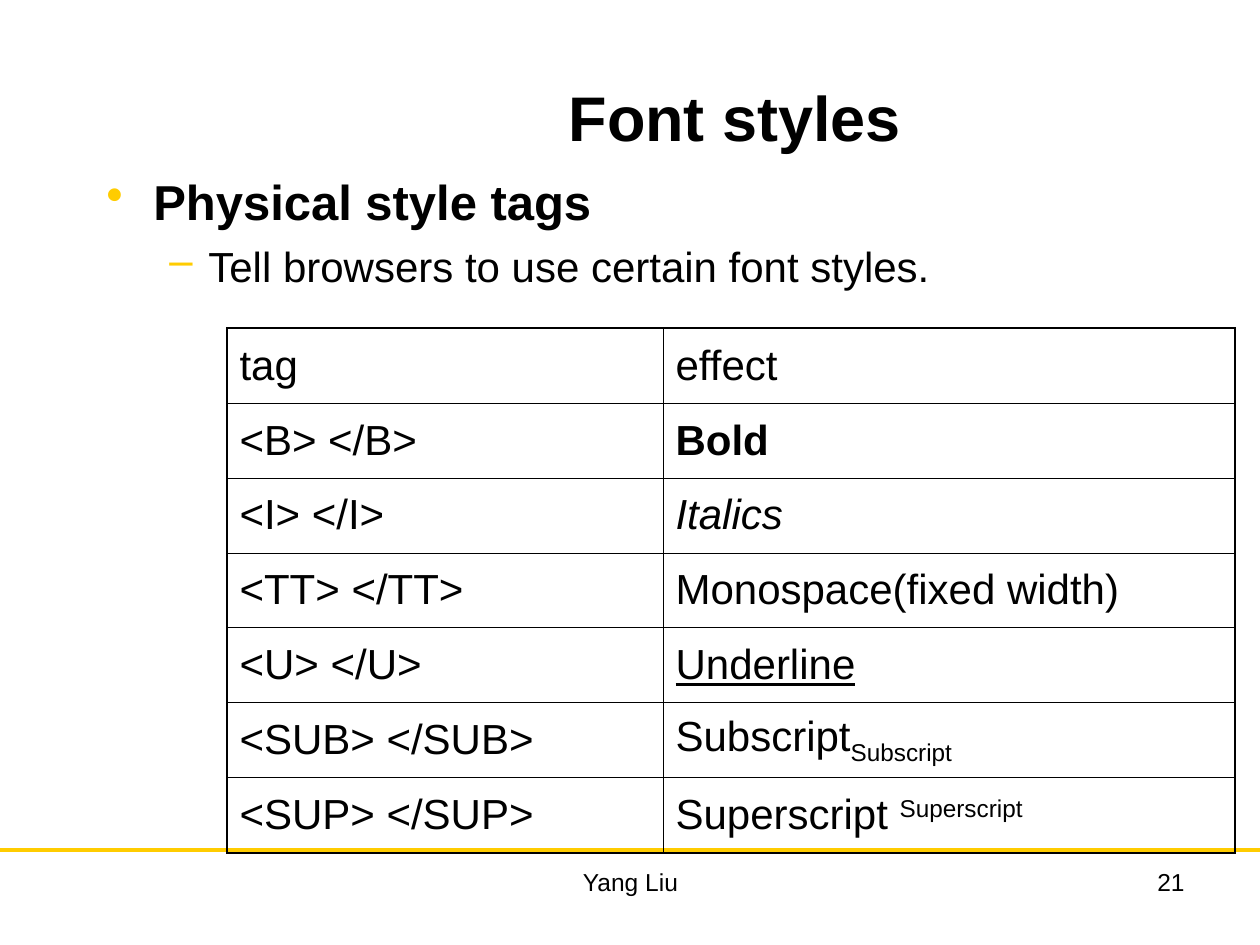
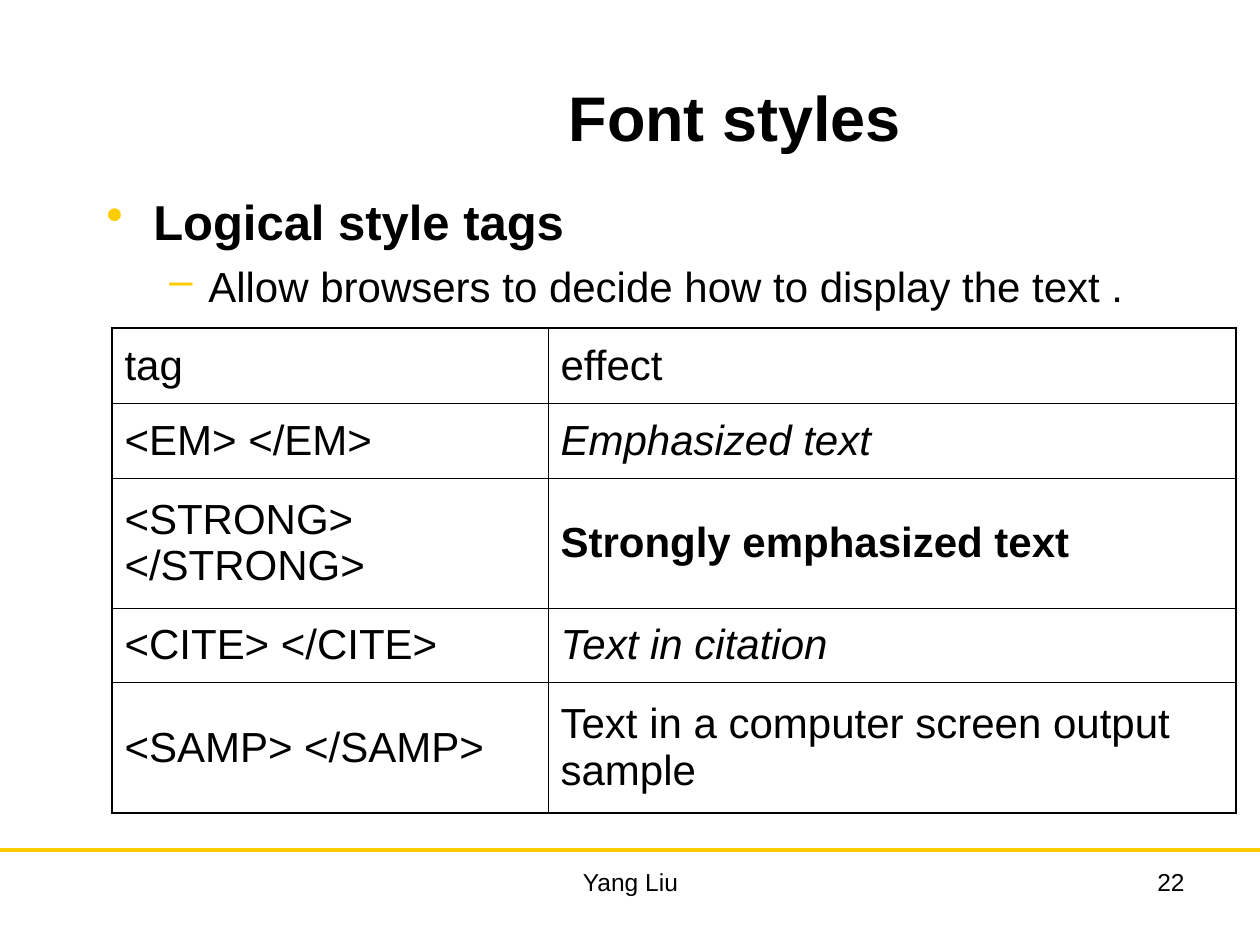
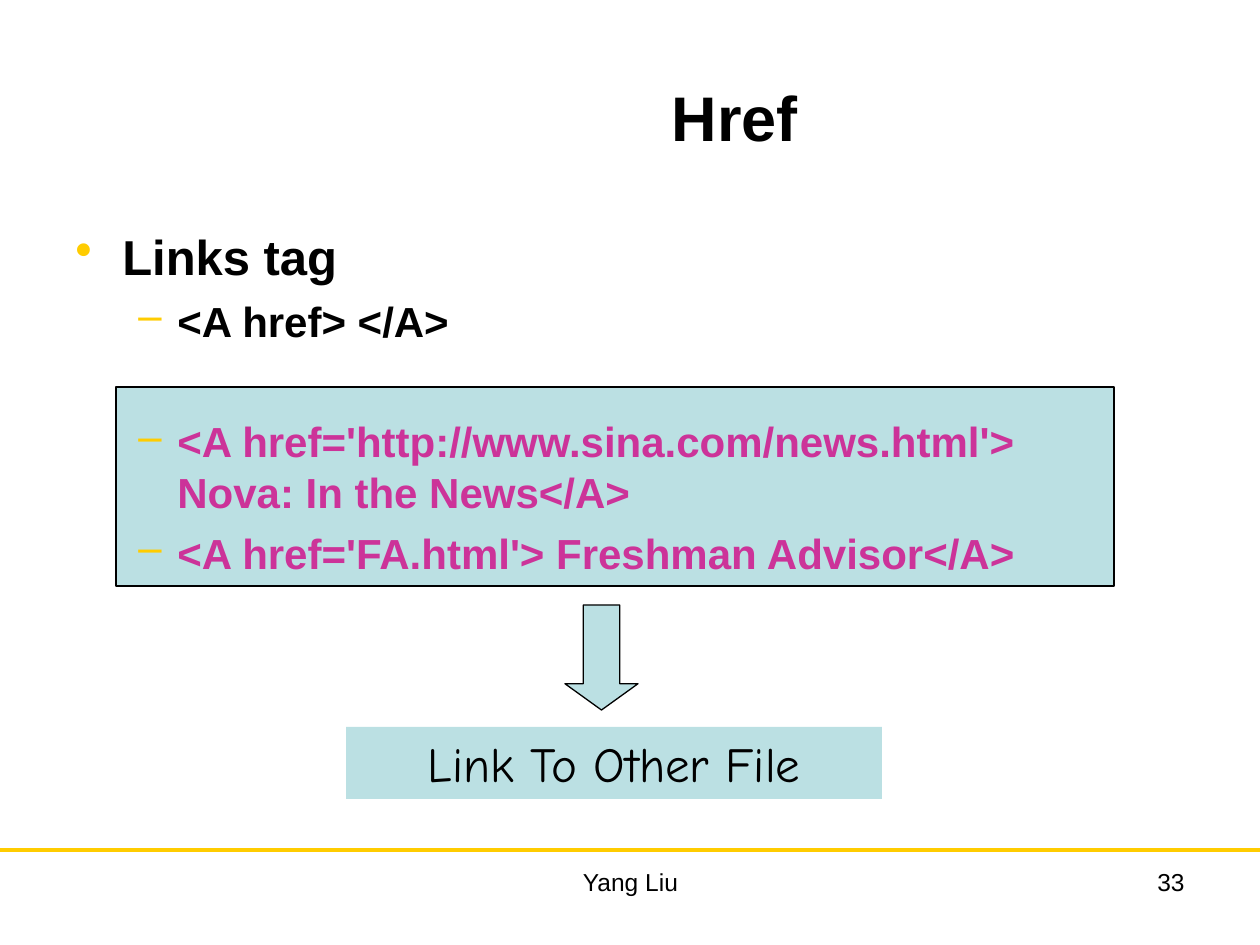
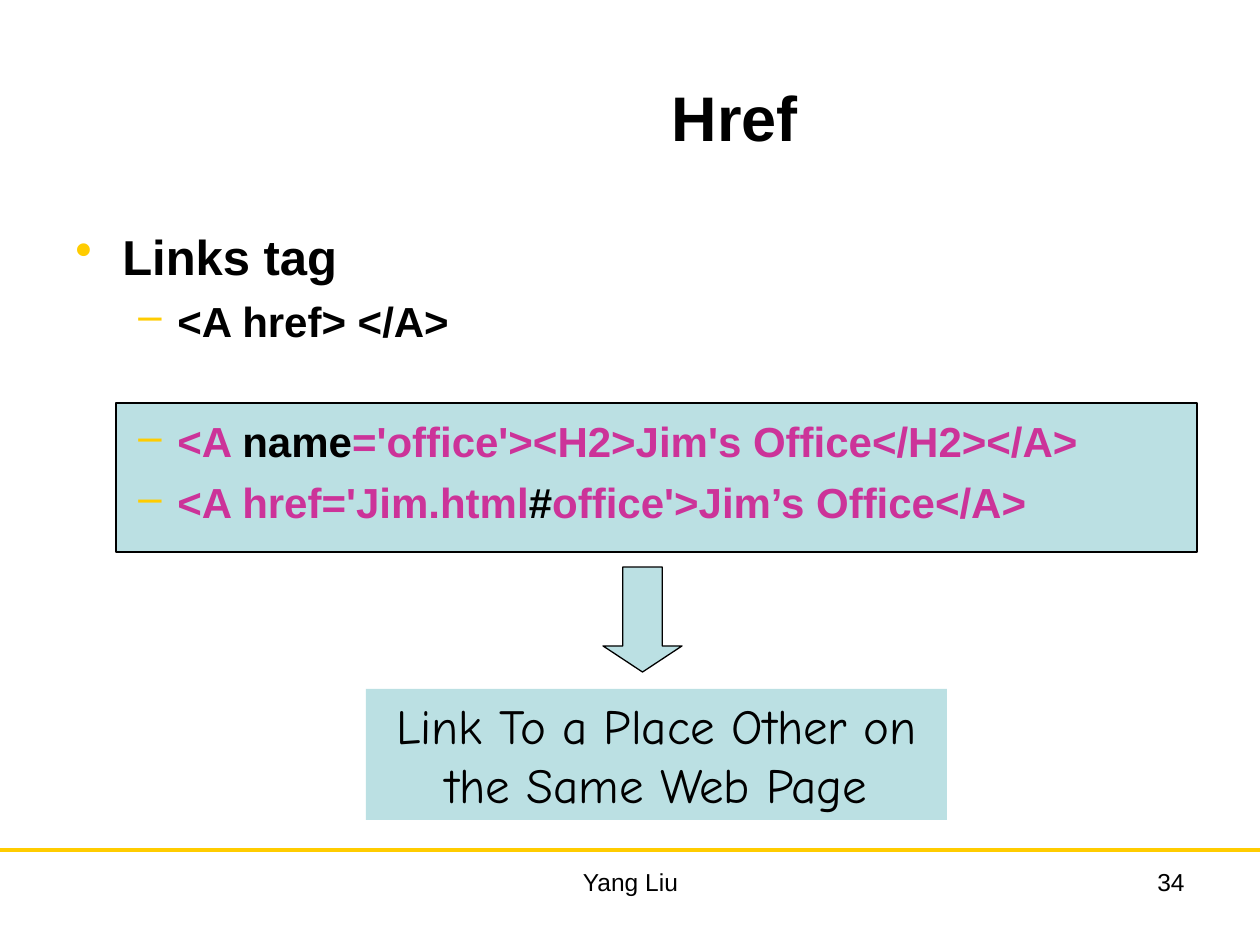
from pptx import Presentation
from pptx.dml.color import RGBColor
from pptx.enum.shapes import MSO_CONNECTOR as Connector, MSO_SHAPE as Shape
from pptx.enum.text import MSO_ANCHOR as Anchor, PP_ALIGN as Align
from pptx.oxml.ns import qn
from pptx.util import Emu, Pt
from lxml.etree import SubElement

BLACK = RGBColor(0x00, 0x00, 0x00)
GOLD = RGBColor(0xFF, 0xCC, 0x00)
MAGENTA = RGBColor(0xCC, 0x33, 0x99)
PALE_BLUE = RGBColor(0xBB, 0xE0, 0xE3)

FONT, LABEL_FONT = "Arial", "Comic Neue"
OUTER_BORDER, INNER_BORDER = 1.08, 0.45

SLIDE_SIZE = (1260, 945)
RULE_Y = 850
TITLE_BOX = (273, 37, 924, 158)
AUTHOR = "Yang Liu"
AUTHOR_BOX = (431, 861, 399, 66)
NUMBER_BOX = (903, 861, 294, 66)
LINKS_BOX = (63, 220, 1134, 624)

LEVELS = [
    {"bullet": "•", "margin": 47, "indent": -47, "size": 28},
    {"bullet": "–", "margin": 102, "indent": -39, "size": 24},
]

PLAIN = {}
BOLD = {"bold": True}
ITALIC = {"italic": True}
UNDERLINE = {"underline": True}
SUBSCRIPT = {"baseline": -25000}
SUPERSCRIPT = {"baseline": 30000}
CODE = {"bold": True, "color": MAGENTA}

LINKS_INTRO = [
    (0, 0, [("Links tag", BOLD)]),
    (1, 6, [("<A href> </A>", BOLD)]),
]

SLIDES = [
    {
        "title": "Font styles",
        "number": "21",
        "body_box": (94, 165, 1071, 536),
        "body": [
            (0, 0, [("Physical style tags", BOLD)]),
            (1, 6, [("Tell browsers to use certain font styles.", PLAIN)]),
        ],
        "table": {
            "at": (227, 328),
            "columns": [436, 572],
            "rows": [75] * 7,
            "cells": [
                ("tag", [("effect", PLAIN)]),
                ("<B> </B>", [("Bold", BOLD)]),
                ("<I> </I>", [("Italics", ITALIC)]),
                ("<TT> </TT>", [("Monospace(fixed width)", PLAIN)]),
                ("<U> </U>", [("Underline", UNDERLINE)]),
                ("<SUB> </SUB>", [("Subscript", PLAIN), ("Subscript", SUBSCRIPT)]),
                ("<SUP> </SUP>", [("Superscript ", PLAIN), ("Superscript", SUPERSCRIPT)]),
            ],
        },
    },
    {
        "title": "Font styles",
        "number": "22",
        "body_box": (94, 185, 1124, 536),
        "body": [
            (0, 0, [("Logical style tags", BOLD)]),
            (1, 6, [("Allow browsers to decide how to display the text .", PLAIN)]),
        ],
        "table": {
            "at": (112, 328),
            "columns": [436, 688],
            "rows": [75, 75, 130, 75, 130],
            "cells": [
                ("tag", [("effect", PLAIN)]),
                ("<EM> </EM>", [("Emphasized text", ITALIC)]),
                ("<STRONG> </STRONG>", [("Strongly emphasized text", BOLD)]),
                ("<CITE> </CITE>", [("Text in citation", ITALIC)]),
                ("<SAMP> </SAMP>", [("Text in a computer screen output sample", PLAIN)]),
            ],
        },
    },
    {
        "title": "Href",
        "number": "33",
        "body_box": LINKS_BOX,
        "body": LINKS_INTRO + [
            (1, 40, [
                ("<A href='http://www.sina.com/news.html'>", CODE),
                ("\n", CODE),
                ("Nova: In the News</A>", CODE),
            ]),
            (1, 6, [("<A href='FA.html'> Freshman Advisor</A>", CODE)]),
        ],
        "diagram": {
            "code_box": (116, 387, 998, 199),
            "label_box": (346, 727, 536, 72),
            "label": "Link To Other File",
            "arrow_box": (565, 605, 73, 105),
            "arrow_head": 0.36,
        },
    },
    {
        "title": "Href",
        "number": "34",
        "body_box": LINKS_BOX,
        "body": LINKS_INTRO + [
            (1, 40, [
                ("<A ", CODE),
                ("name", BOLD),
                ("='office'><H2>Jim's Office</H2></A>", CODE),
            ]),
            (1, 6, [
                ("<A href='Jim.html", CODE),
                ("#", BOLD),
                ("office'>Jim’s Office</A>", CODE),
            ]),
        ],
        "diagram": {
            "code_box": (116, 403, 1081, 149),
            "label_box": (366, 689, 581, 131),
            "label": "Link To a Place Other on the Same Web Page",
            "arrow_box": (603, 567, 79, 105),
            "arrow_head": 0.33,
        },
    },
]


def px(length):
    return Emu(round(length * 914400 / 126))


def box(lengths):
    return [px(length) for length in lengths]


def format_font(font, size, name=FONT, color=BLACK, bold=False, italic=False, underline=False):
    font.name, font.size = name, Pt(size)
    font.bold, font.italic, font.underline = bold, italic, underline
    font.color.rgb = color


def add_runs(paragraph, runs, size):
    for text, style in runs:
        if text == "\n":
            paragraph.add_line_break()
            continue
        run = paragraph.add_run()
        run.text = text
        style = dict(style)
        baseline = style.pop("baseline", None)
        format_font(run.font, size, **style)
        if baseline:
            run._r.get_or_add_rPr().set("baseline", str(baseline))


def add_rule(slide, layout):
    rule = slide.shapes.add_connector(Connector.STRAIGHT, *box((0, RULE_Y, SLIDE_SIZE[0], RULE_Y)))
    rule.line.color.rgb = GOLD
    rule.line.width = Pt(2.25)
    SubElement(rule._element.spPr, qn("a:effectLst"))
    layout.shapes._spTree.append(rule._element)


def set_title(slide, text):
    title = slide.shapes.title
    title.left, title.top, title.width, title.height = box(TITLE_BOX)
    title.text_frame.text = text
    title.text_frame.vertical_anchor = Anchor.MIDDLE
    paragraph = title.text_frame.paragraphs[0]
    paragraph.alignment = Align.CENTER
    format_font(paragraph.runs[0].font, 36, bold=True)


def add_footer(slide, text, place, alignment):
    text_frame = slide.shapes.add_textbox(*box(place)).text_frame
    text_frame.word_wrap = True
    text_frame.text = text
    paragraph = text_frame.paragraphs[0]
    paragraph.alignment = alignment
    format_font(paragraph.runs[0].font, 14)


def set_bullet(paragraph, level):
    properties = paragraph._p.get_or_add_pPr()
    properties.set("marL", str(px(level["margin"])))
    properties.set("indent", str(px(level["indent"])))
    color = SubElement(properties, qn("a:buClr"))
    SubElement(color, qn("a:srgbClr")).set("val", str(GOLD))
    SubElement(properties, qn("a:buChar")).set("char", level["bullet"])


def add_body(slide, place, items):
    text_frame = slide.shapes.add_textbox(*box(place)).text_frame
    text_frame.word_wrap = True
    for index, (depth, space_before, runs) in enumerate(items):
        paragraph = text_frame.add_paragraph() if index else text_frame.paragraphs[0]
        paragraph.level = depth
        set_bullet(paragraph, LEVELS[depth])
        if space_before:
            paragraph.space_before = Pt(space_before)
        add_runs(paragraph, runs, LEVELS[depth]["size"])


def set_borders(cell, outer_sides):
    properties = cell._tc.get_or_add_tcPr()
    for index, side in enumerate(("lnL", "lnR", "lnT", "lnB")):
        width = OUTER_BORDER if side in outer_sides else INNER_BORDER
        border = SubElement(properties, qn("a:" + side))
        border.set("w", str(Pt(width)))
        fill = SubElement(border, qn("a:solidFill"))
        SubElement(fill, qn("a:srgbClr")).set("val", str(BLACK))
        properties.insert(index, border)


def add_tag_table(slide, at, columns, rows, cells):
    place = box((*at, sum(columns), sum(rows)))
    table = slide.shapes.add_table(len(rows), len(columns), *place).table
    table.first_row = table.horz_banding = False
    for column, width in zip(table.columns, columns):
        column.width = px(width)
    for row_index, (height, (tag, effect)) in enumerate(zip(rows, cells)):
        table.rows[row_index].height = px(height)
        for column_index, runs in enumerate(([(tag, PLAIN)], effect)):
            cell = table.cell(row_index, column_index)
            cell.vertical_anchor = Anchor.MIDDLE
            cell.fill.background()
            add_runs(cell.text_frame.paragraphs[0], runs, 24)
            outer_sides = {"lnR" if column_index else "lnL"}
            if row_index == 0:
                outer_sides.add("lnT")
            if row_index == len(rows) - 1:
                outer_sides.add("lnB")
            set_borders(cell, outer_sides)


def add_pale_shape(slide, kind, place, outlined=True):
    shape = slide.shapes.add_shape(kind, *box(place))
    shape.shadow.inherit = False
    shape.fill.solid()
    shape.fill.fore_color.rgb = PALE_BLUE
    if outlined:
        shape.line.color.rgb = BLACK
        shape.line.width = Pt(0.75)
    else:
        shape.line.fill.background()
    return shape


def add_link_diagram(slide, code_box, label_box, label, arrow_box, arrow_head):
    add_pale_shape(slide, Shape.RECTANGLE, code_box)
    text_frame = add_pale_shape(slide, Shape.RECTANGLE, label_box, outlined=False).text_frame
    text_frame.word_wrap = True
    text_frame.text = label
    paragraph = text_frame.paragraphs[0]
    paragraph.alignment = Align.CENTER
    format_font(paragraph.runs[0].font, 28, name=LABEL_FONT)
    arrow = add_pale_shape(slide, Shape.DOWN_ARROW, arrow_box)
    arrow.adjustments[0] = 0.5
    arrow.adjustments[1] = arrow_head


def main():
    presentation = Presentation()
    presentation.slide_width, presentation.slide_height = box(SLIDE_SIZE)
    layout = presentation.slide_layouts[5]
    for index, content in enumerate(SLIDES):
        slide = presentation.slides.add_slide(layout)
        if index == 0:
            add_rule(slide, layout)
        add_footer(slide, AUTHOR, AUTHOR_BOX, Align.CENTER)
        add_footer(slide, content["number"], NUMBER_BOX, Align.RIGHT)
        set_title(slide, content["title"])
        if "diagram" in content:
            add_link_diagram(slide, **content["diagram"])
        add_body(slide, content["body_box"], content["body"])
        if "table" in content:
            add_tag_table(slide, **content["table"])
    presentation.save("out.pptx")


if __name__ == "__main__":
    main()
